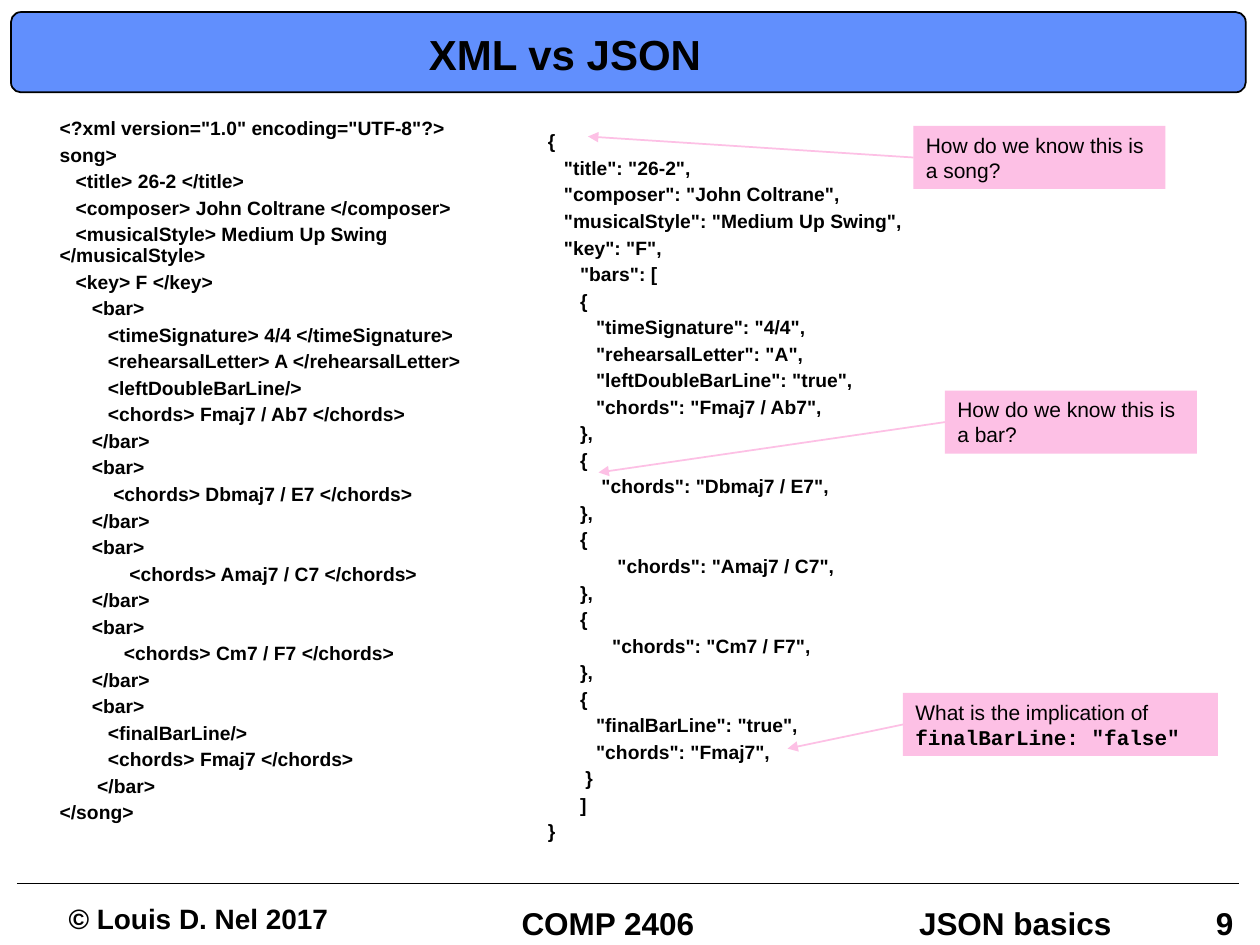
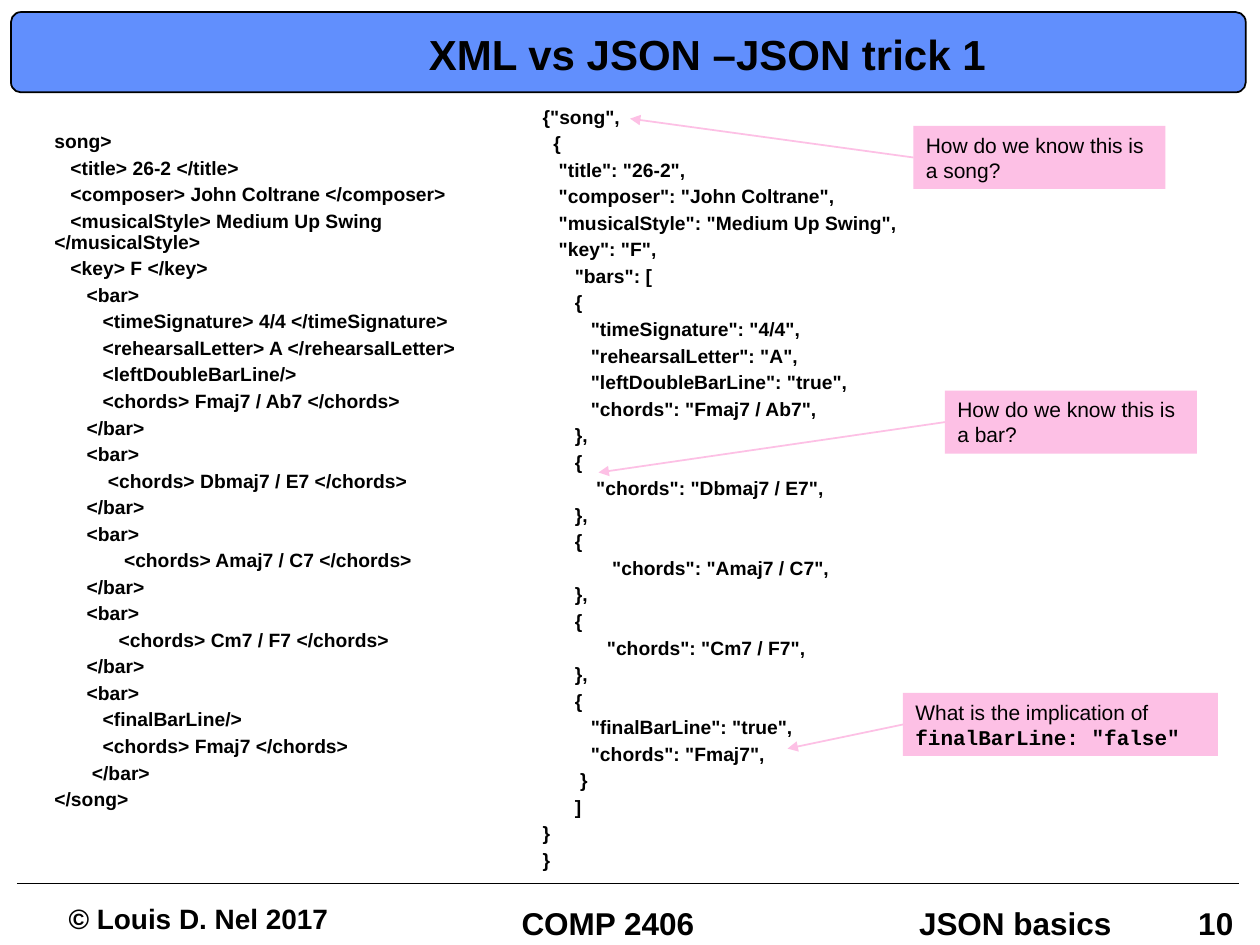
import pptx
import pptx.util
import pptx.dml.color
import pptx.enum.shapes
import pptx.enum.text
import pptx.oxml
import pptx.oxml.ns

BLACK = pptx.dml.color.RGBColor(0x00, 0x00, 0x00)
BLUE = pptx.dml.color.RGBColor(0x61, 0x8F, 0xFD)
PINK = pptx.dml.color.RGBColor(0xFD, 0xC0, 0xE5)

WIDTH, HEIGHT = pptx.util.Inches(10), pptx.util.Inches(7.5)
COLUMNS, ROWS = 120, 90
SPACE_WIDTH = pptx.util.Pt(3.06)

ALIGN = pptx.enum.text.PP_ALIGN
FIT = pptx.enum.text.MSO_AUTO_SIZE
TOP = pptx.enum.text.MSO_ANCHOR.TOP
SHAPE = pptx.enum.shapes.MSO_SHAPE

TIGHT_FRAME = {
    "margin_left": pptx.util.Inches(0.07), "margin_right": pptx.util.Inches(0.07),
    "margin_top": pptx.util.Inches(0.03), "margin_bottom": pptx.util.Inches(0.03),
    "word_wrap": False, "auto_size": FIT.SHAPE_TO_FIT_TEXT, "vertical_anchor": TOP,
}
CODE_FRAME = {"word_wrap": True, "auto_size": FIT.NONE, "vertical_anchor": TOP}
CALLOUT_FRAME = {"word_wrap": True, "auto_size": FIT.SHAPE_TO_FIT_TEXT,
                 "vertical_anchor": TOP}

TITLE_FONT = {"name": "Arial", "size": pptx.util.Pt(24), "bold": True}
OWNER_FONT = {"name": "Arial", "size": pptx.util.Pt(16), "bold": True}
FOOTER_FONT = {"name": "Arial", "size": pptx.util.Pt(18), "bold": True}
CODE_FONT = {"name": "Arial", "size": pptx.util.Pt(11), "bold": True}
QUESTION_FONT = {"name": "Arial", "size": pptx.util.Pt(12), "bold": False}
LITERAL_FONT = {"name": "Courier New", "size": pptx.util.Pt(12), "bold": True}

TITLE_PARA = {"alignment": ALIGN.LEFT, "line_spacing": 0.87,
              "space_before": pptx.util.Pt(0)}
FOOTER_PARA = {"alignment": ALIGN.CENTER, "line_spacing": 0.85}
NUMBER_PARA = {"alignment": ALIGN.RIGHT, "line_spacing": 0.85}
CODE_PARA = {"alignment": ALIGN.LEFT, "line_spacing": 0.9,
             "space_before": pptx.util.Pt(3.3)}
CALLOUT_PARA = {"alignment": ALIGN.LEFT}

FOOTERS = [
    ("© Louis D. Nel 2017", (5.5, 86, 26.8, 3.4), OWNER_FONT),
    ("COMP 2406", (48.8, 86.3, 18.2, 3.7), FOOTER_FONT),
    ("JSON basics", (86.6, 86.3, 20.2, 3.7), FOOTER_FONT),
]

XML_HEADER = '<?xml version="1.0" encoding="UTF-8"?>'
XML_SONG = """\
song>
   <title> 26-2 </title>
   <composer> John Coltrane </composer>
   <musicalStyle> Medium Up Swing </musicalStyle>
   <key> F </key>
      <bar>
         <timeSignature> 4/4 </timeSignature>
         <rehearsalLetter> A </rehearsalLetter>
         <leftDoubleBarLine/>
         <chords> Fmaj7 / Ab7 </chords>
      </bar>
      <bar>
          <chords> Dbmaj7 / E7 </chords>
      </bar>
      <bar>
             <chords> Amaj7 / C7 </chords>
      </bar>
      <bar>
            <chords> Cm7 / F7 </chords>
      </bar>
      <bar>
         <finalBarLine/>
         <chords> Fmaj7 </chords>
       </bar>
</song>""".split("\n")

JSON_MEMBERS = """\
   "title": "26-2",
   "composer": "John Coltrane",
   "musicalStyle": "Medium Up Swing",
   "key": "F",
      "bars": [
      {
         "timeSignature": "4/4",
         "rehearsalLetter": "A",
         "leftDoubleBarLine": "true",
         "chords": "Fmaj7 / Ab7",
      },
      {
          "chords": "Dbmaj7 / E7",
      },
      {
             "chords": "Amaj7 / C7",
      },
      {
            "chords": "Cm7 / F7",
      },
      {
         "finalBarLine": "true",
         "chords": "Fmaj7",
       }
      ]
}""".split("\n")


def column(count):
    """Return the length of a number of grid columns."""
    return round(WIDTH * count / COLUMNS)


def row(count):
    """Return the length of a number of grid rows."""
    return round(HEIGHT * count / ROWS)


def area(cells):
    """Turn left, top, width and height in grid cells into lengths."""
    left, top, width, height = cells
    return column(left), row(top), column(width), row(height)


def apply(target, values):
    """Set each attribute of the target from a dict."""
    for name, value in values.items():
        setattr(target, name, value)


def write(shape, lines, frame_format, para_format):
    """Fill a shape with one paragraph per (text, font) line."""
    frame = shape.text_frame
    apply(frame, frame_format)
    for index, (text, font) in enumerate(lines):
        para = frame.paragraphs[0] if index == 0 else frame.add_paragraph()
        apply(para, para_format)
        span = para.add_run()
        span.text = text
        apply(span.font, font)
        span.font.color.rgb = BLACK
    return frame


def add_text(page, cells, lines, frame_format, para_format):
    """Add a text box on the grid and fill it."""
    box = page.shapes.add_textbox(*area(cells))
    return write(box, lines, frame_format, para_format)


def add_filled(page, kind, cells, color):
    """Add a flat preset shape with a plain fill."""
    shape = page.shapes.add_shape(kind, *area(cells))
    shape.shadow.inherit = False
    shape.fill.solid()
    shape.fill.fore_color.rgb = color
    return shape


def add_line(page, start, end, color, arrow=False):
    """Draw a one-point line between grid points, with an optional arrowhead."""
    line = page.shapes.add_connector(
        pptx.enum.shapes.MSO_CONNECTOR.STRAIGHT,
        column(start[0]), row(start[1]), column(end[0]), row(end[1]))
    line.line.color.rgb = color
    line.line.width = pptx.util.Pt(1)
    properties = line.element.spPr
    if arrow:
        head = pptx.oxml.parse_xml(
            f'<a:tailEnd {pptx.oxml.ns.nsdecls("a")} type="triangle"/>')
        properties.find(pptx.oxml.ns.qn("a:ln")).append(head)
    properties.append(pptx.oxml.parse_xml(
        f'<a:effectLst {pptx.oxml.ns.nsdecls("a")}/>'))


def add_title(page, text, width):
    """Place the title placeholder in front of the band."""
    title = page.shapes.title
    title.left, title.top, title.width, title.height = area((40, 3, width, 4.9))
    write(title, [(text, TITLE_FONT)], TIGHT_FRAME, TITLE_PARA)
    title.element.getparent().append(title.element)


def add_page(deck, title, title_width, number):
    """Add a slide with its band, footer line, footers and title."""
    page = deck.slides.add_slide(deck.slide_layouts[5])
    band = add_filled(page, SHAPE.ROUNDED_RECTANGLE, (1.05, 1.15, 117.6, 7.65), BLUE)
    band.adjustments[0] = 0.125
    band.line.color.rgb = BLACK
    band.line.width = pptx.util.Pt(1)
    add_line(page, (1.6, 84.15), (118, 84.15), BLACK)
    for text, cells, font in FOOTERS:
        add_text(page, cells, [(text, font)], TIGHT_FRAME, FOOTER_PARA)
    add_text(page, (113, 86.3, 5.3, 3.7), [(str(number), FOOTER_FONT)],
             TIGHT_FRAME, NUMBER_PARA)
    add_title(page, title, title_width)
    return page


def add_code(page, left, top, code):
    """Add a code listing whose leading spaces become first-line indents."""
    lines = [(line.lstrip(), CODE_FONT) for line in code]
    frame = add_text(page, (left, top, 44, 59.4), lines, CODE_FRAME, CODE_PARA)
    for para, line in zip(frame.paragraphs, code):
        depth = len(line) - len(line.lstrip())
        properties = para._p.get_or_add_pPr()
        properties.set("marL", "0")
        properties.set("indent", str(depth * SPACE_WIDTH))


def add_callout(page, left, top, width, lines, target):
    """Add a pink question box with an arrow from its left side to the target."""
    height = 6
    box = add_filled(page, SHAPE.RECTANGLE, (left, top, width, height), PINK)
    box.line.fill.background()
    write(box, lines, CALLOUT_FRAME, CALLOUT_PARA)
    add_line(page, (left, top + height / 2), target, PINK, arrow=True)


def add_callouts(page, song_target):
    """Add the three questions about the JSON listing."""
    question = "How do we know this is"
    add_callout(page, 87, 12, 24,
                [(question, QUESTION_FONT), ("a song?", QUESTION_FONT)], song_target)
    add_callout(page, 86, 66, 30,
                [("What is the implication of", QUESTION_FONT),
                 ('finalBarLine: "false"', LITERAL_FONT)], (75, 71.3))
    add_callout(page, 90, 37.2, 24,
                [(question, QUESTION_FONT), ("a bar?", QUESTION_FONT)], (57, 45))


def main():
    """Build the two comparison slides."""
    deck = pptx.Presentation()
    deck.slide_width, deck.slide_height = WIDTH, HEIGHT

    page = add_page(deck, "XML vs JSON", 28, 9)
    add_code(page, 51, 12, ["{", *JSON_MEMBERS])
    add_code(page, 4.5, 10.75, [XML_HEADER, *XML_SONG])
    add_callouts(page, (56, 13))

    page = add_page(deck, "XML vs JSON –JSON trick 1", 55.3, 10)
    add_code(page, 50.5, 9.65, ['{"song",', "  {", *JSON_MEMBERS, "}"])
    add_code(page, 4, 12, XML_SONG)
    add_callouts(page, (60, 11.3))

    deck.save("out.pptx")


if __name__ == "__main__":
    main()
